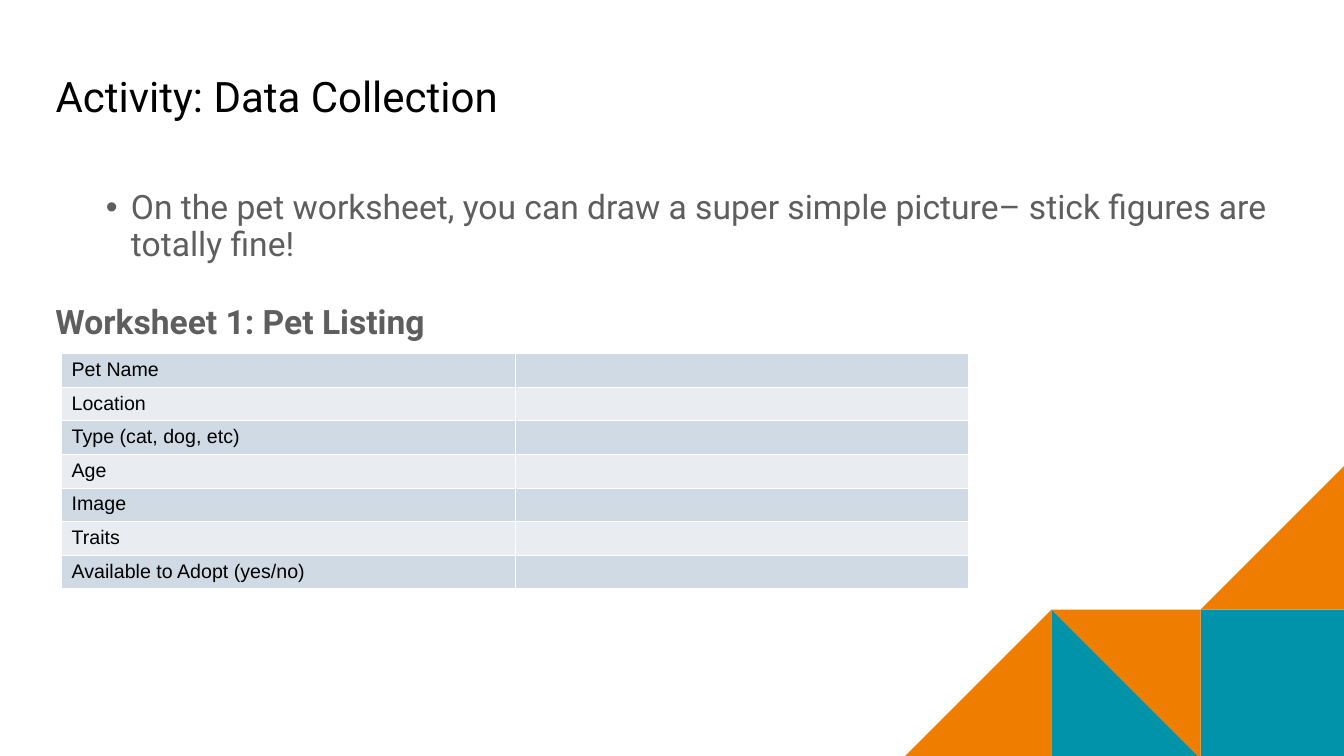
from lxml.etree import SubElement
from pptx import Presentation
from pptx.dml.color import RGBColor
from pptx.enum.shapes import MSO_SHAPE
from pptx.enum.text import MSO_ANCHOR, PP_ALIGN
from pptx.oxml.ns import qn
from pptx.util import Pt

BLACK = RGBColor(0x00, 0x00, 0x00)
WHITE = RGBColor(0xFF, 0xFF, 0xFF)
GREY = RGBColor(0x5E, 0x5E, 0x5E)
TEAL = RGBColor(0x00, 0x93, 0xAA)
ORANGE = RGBColor(0xEF, 0x7D, 0x00)
BANDS = (RGBColor(0xCF, 0xDA, 0xE5), RGBColor(0xE9, 0xED, 0xF2))


def write(p, text, font="Roboto", size=24, color=GREY, bold=False,
          before=0, spacing=1.0):
    p.alignment = PP_ALIGN.LEFT
    p.space_before = Pt(before)
    p.line_spacing = spacing
    r = p.add_run()
    r.text = text
    r.font.name = font
    r.font.size = Pt(size)
    r.font.bold = bold
    r.font.color.rgb = color


class SlideBuilder:
    margin = 7.2
    cell_size = 14

    def __init__(self, prs):
        self.s = prs.slides.add_slide(prs.slide_layouts[5])

    def frame(self, sp, left, top, width, height):
        sp.left, sp.top = Pt(left), Pt(top)
        sp.width, sp.height = Pt(width), Pt(height)
        tf = sp.text_frame
        tf.word_wrap = True
        tf.vertical_anchor = MSO_ANCHOR.TOP
        tf.margin_left = tf.margin_right = Pt(self.margin)
        tf.margin_top = tf.margin_bottom = Pt(self.margin)
        return tf

    def title(self, text, *box):
        tf = self.frame(self.s.shapes.title, *box)
        write(tf.paragraphs[0], text, size=30, color=BLACK)

    def body(self, bullet, heading, *box):
        tf = self.frame(self.s.shapes.add_textbox(0, 0, 0, 0), *box)
        p = tf.paragraphs[0]
        write(p, bullet, before=5, spacing=0.9)
        pPr = p._p.get_or_add_pPr()
        pPr.set("marL", str(Pt(54)))
        pPr.set("indent", str(Pt(-18)))
        SubElement(pPr, qn("a:buFont"), typeface="Arial")
        SubElement(pPr, qn("a:buChar"), char="•")
        write(tf.add_paragraph(), heading, bold=True, before=30, spacing=0.9)

    def block(self, kind, color, left, top, size, flip=False, rotation=0):
        sp = self.s.shapes.add_shape(kind, Pt(left), Pt(top), Pt(size), Pt(size))
        sp.shadow.inherit = False
        sp.fill.solid()
        sp.fill.fore_color.rgb = color
        sp.line.fill.background()
        sp.rotation = rotation
        if flip:
            sp._element.spPr.xfrm.set("flipH", "1")

    def cell_borders(self, cell):
        tcPr = cell._tc.get_or_add_tcPr()
        for i, side in enumerate(("lnL", "lnR", "lnT", "lnB")):
            ln = SubElement(tcPr, qn(f"a:{side}"), w=str(Pt(1)))
            fill = SubElement(ln, qn("a:solidFill"))
            SubElement(fill, qn("a:srgbClr"), val=str(WHITE))
            tcPr.remove(ln)
            tcPr.insert(i, ln)

    def form_table(self, labels, left, top, width, row_height):
        table = self.s.shapes.add_table(
            len(labels), 2, Pt(left), Pt(top), Pt(width),
            Pt(row_height * len(labels))).table
        table.first_row = False
        table.horz_banding = False
        for i, label in enumerate(labels):
            table.rows[i].height = Pt(row_height)
            for cell in table.rows[i].cells:
                cell.fill.solid()
                cell.fill.fore_color.rgb = BANDS[i % 2]
                self.cell_borders(cell)
            write(table.cell(i, 0).text_frame.paragraphs[0], label,
                  font="Arial", size=self.cell_size, color=BLACK)
            # Empty answer cells keep the same text height
            end = table.cell(i, 1).text_frame.paragraphs[0]._p.get_or_add_endParaRPr()
            end.set("sz", str(self.cell_size * 100))


def main():
    prs = Presentation()
    prs.slide_width, prs.slide_height = Pt(960), Pt(540)
    slide = SlideBuilder(prs)

    # Corner mosaic
    size, left, top = 106.5, 644.5, 435.5
    triangle = MSO_SHAPE.RIGHT_TRIANGLE
    for kind, color, col, row, flip, rotation in (
            (MSO_SHAPE.RECTANGLE, TEAL, 2, 0, False, 0),
            (triangle, ORANGE, 1, 0, False, 180),
            (triangle, TEAL, 1, 0, False, 0),
            (triangle, ORANGE, 0, 0, True, 0),
            (triangle, ORANGE, 2, -1, True, 0)):
        slide.block(kind, color, left + col * size, top + row * size, size,
                    flip, rotation)

    # Title and instructions
    slide.title("Activity: Data Collection", 32.5, 43, 894.5, 64)
    slide.body("On the pet worksheet, you can draw a super simple picture– "
               "stick figures are totally fine!",
               "Worksheet 1: Pet Listing", 32.5, 129, 894.5, 350.5)

    # Pet worksheet
    slide.form_table(("Pet Name", "Location", "Type (cat, dog, etc)", "Age",
                      "Image", "Traits", "Available to Adopt (yes/no)"),
                     44, 252.5, 648, 22.95)
    prs.save("out.pptx")


if __name__ == "__main__":
    main()
